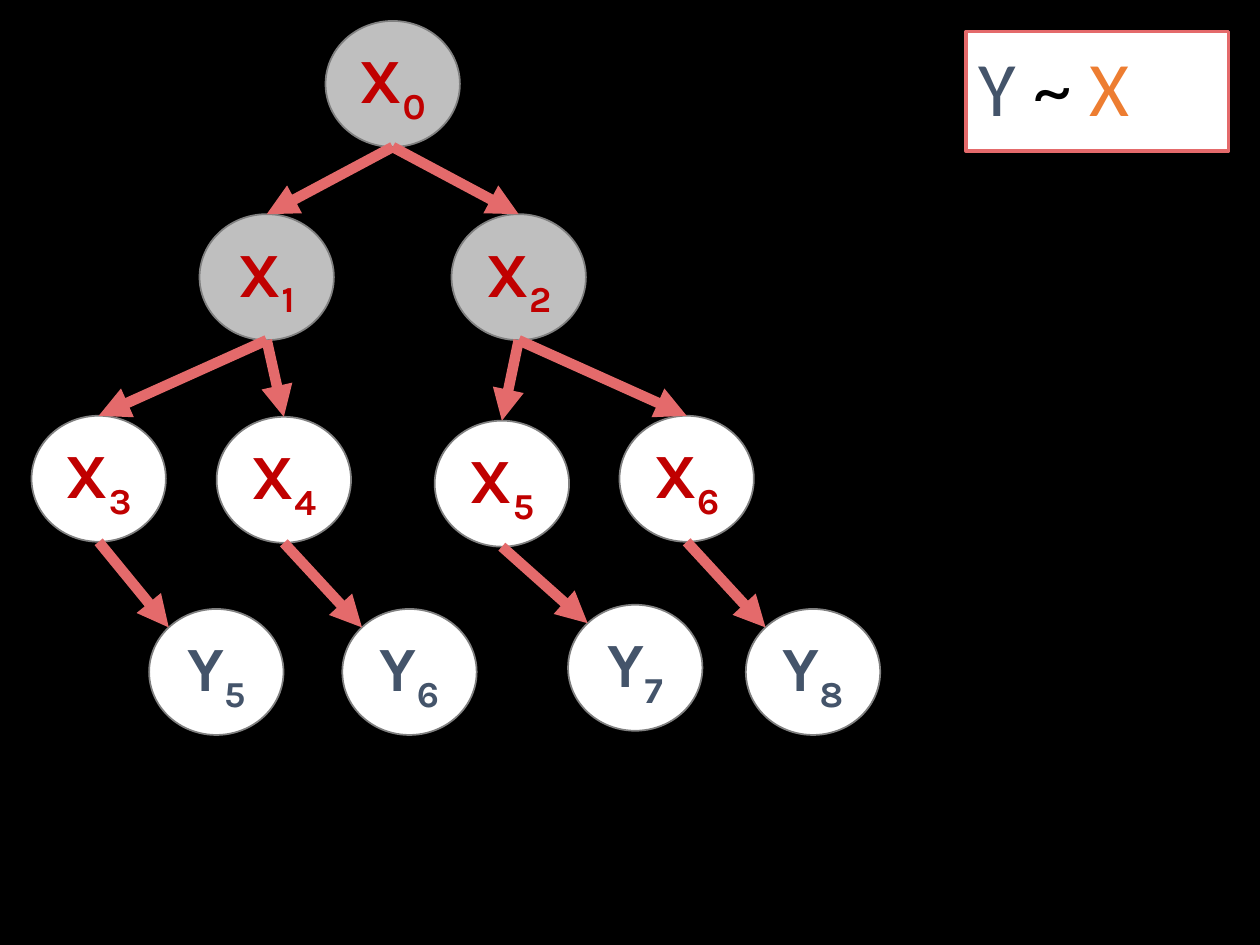
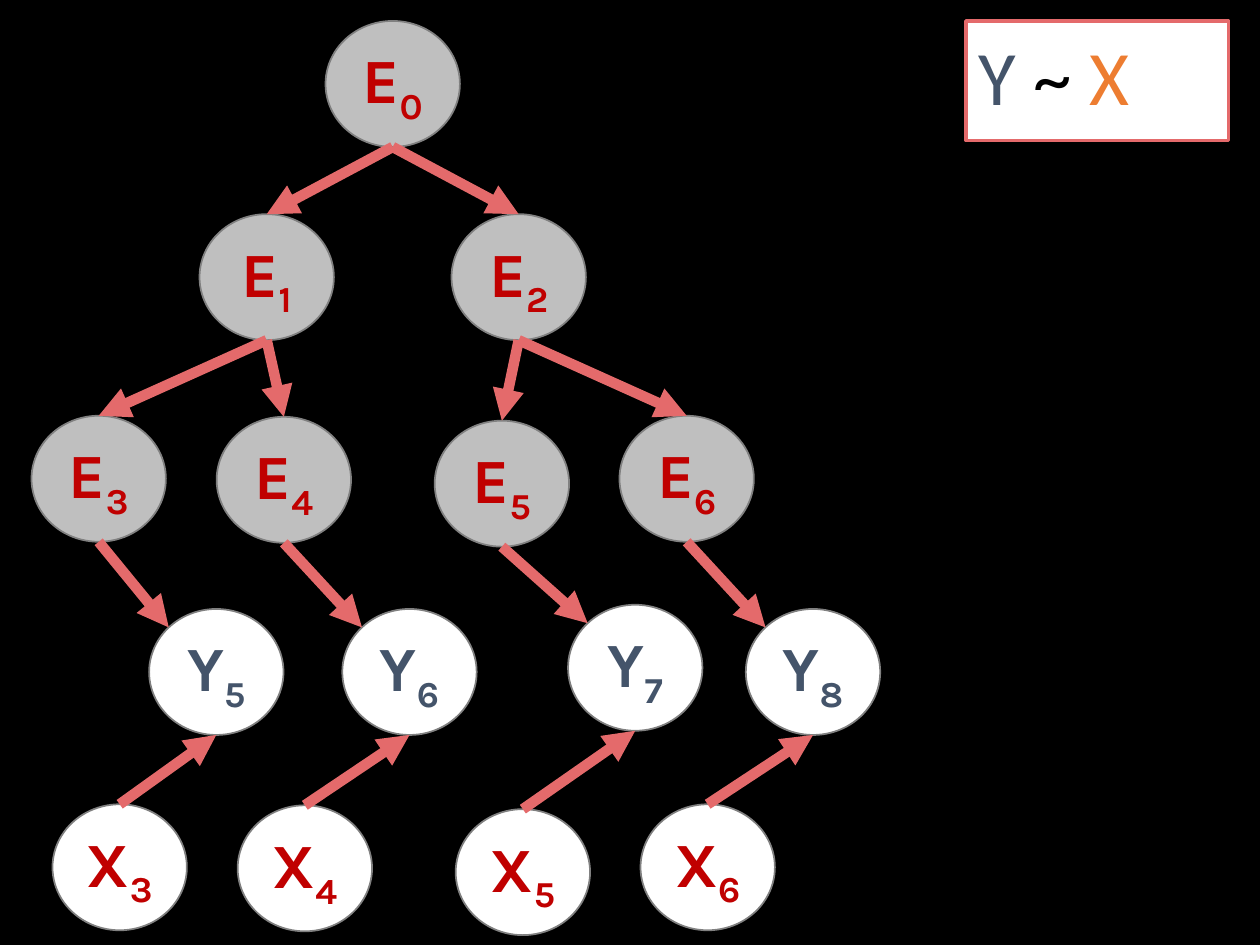
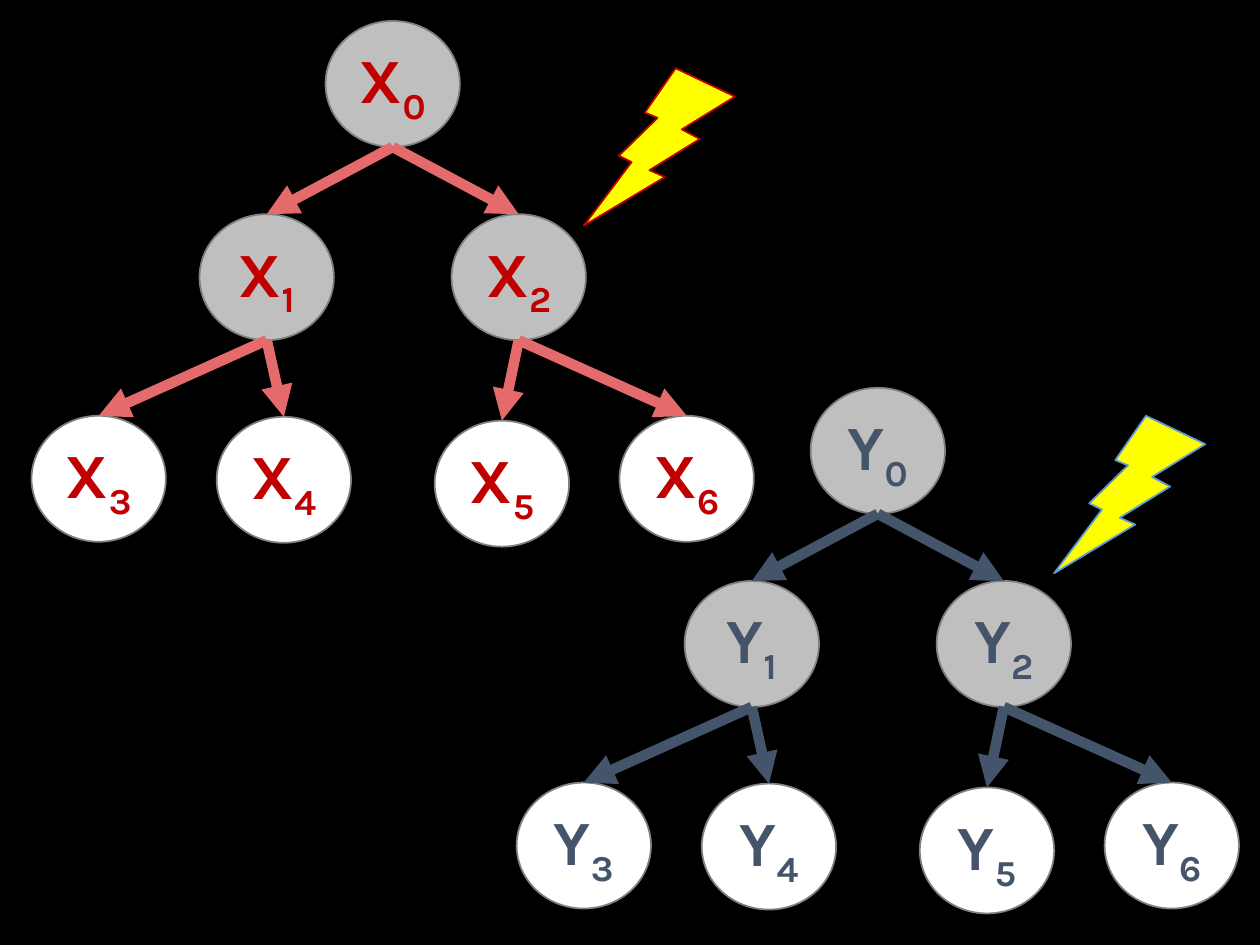
from dataclasses import dataclass
from math import sqrt

from lxml.etree import SubElement
from pptx import Presentation
from pptx.dml.color import RGBColor
from pptx.enum.shapes import MSO_CONNECTOR as CONN, MSO_SHAPE as SHAPE
from pptx.enum.text import MSO_ANCHOR as ANCHOR, MSO_AUTO_SIZE as AUTO, PP_ALIGN as ALIGN
from pptx.oxml.ns import qn
from pptx.util import Pt

BLACK, WHITE, GREY, OUTLINE = "000000", "FFFFFF", "BFBFBF", "808080"
RED, CORAL, SLATE, ORANGE = "C00000", "E46A6B", "44546A", "ED7D31"
YELLOW, BLUE = "FFFF00", "5B9BD5"
NODE_W, NODE_H = 76.8, 72
TOP, TOP_LEFT, BOTTOM = 0, 1, 4
DIAGONAL = (1 - sqrt(0.5)) / 2
SITES = {TOP: (0.5, 0), TOP_LEFT: (DIAGONAL, DIAGONAL), BOTTOM: (0.5, 1)}


@dataclass(frozen=True)
class Node:
    """A labelled circle: subscript and top-left corner."""
    sub: int
    x: float
    y: float


INNER = [Node(0, 186, 12), Node(1, 114, 122.4), Node(2, 258, 122.4)]
LEAVES = [Node(3, 18, 237.6), Node(4, 123.8, 238.2),
          Node(5, 248.4, 240.4), Node(6, 354, 237.6)]
OUTCOMES = [Node(5, 85.2, 348), Node(6, 195.6, 348),
            Node(7, 324.6, 345.6), Node(8, 426.2, 348)]
EDGES = [(0, 1), (0, 2), (1, 3), (1, 4), (2, 5), (2, 6)]


def rgb(color: str) -> RGBColor:
    """Turn a hex string into a colour."""
    return RGBColor.from_string(color)


def paint(sp, fill: str, line: str, width: float = 1) -> None:
    """Give a shape a plain fill and outline."""
    sp.fill.solid()
    sp.fill.fore_color.rgb = rgb(fill)
    sp.line.color.rgb = rgb(line)
    sp.line.width = Pt(width)


def add_run(p, text: str, *, size: float, font: str, color: str,
            bold: bool = False, subscript: bool = False) -> None:
    """Append a formatted run to a paragraph."""
    r = p.add_run()
    r.text = text
    r.font.size, r.font.name, r.font.bold = Pt(size), font, bold
    r.font.color.rgb = rgb(color)
    if subscript:
        r._r.get_or_add_rPr().set("baseline", "-25000")


def add_shape(shapes, kind, x: float, y: float, w: float, h: float, fill: str, line: str):
    """Add a flat preset shape."""
    sp = shapes.add_shape(kind, Pt(x), Pt(y), Pt(w), Pt(h))
    sp.shadow.inherit = False
    paint(sp, fill, line)
    return sp


def add_node(shapes, node: Node, letter: str, color: str, fill: str,
             dx: float = 0, dy: float = 0):
    """Draw one circle with its subscripted letter."""
    sp = add_shape(shapes, SHAPE.OVAL, node.x + dx, node.y + dy, NODE_W, NODE_H, fill, OUTLINE)
    tf = sp.text_frame
    tf.vertical_anchor = ANCHOR.MIDDLE
    p = tf.paragraphs[0]
    p.alignment = ALIGN.CENTER
    style = dict(size=36, font="Karla", color=color, bold=True)
    add_run(p, letter, **style)
    add_run(p, str(node.sub), subscript=True, **style)
    return sp


def site_point(sp, site: int) -> tuple[int, int]:
    """Locate a connection site of a circle."""
    fx, fy = SITES[site]
    return round(sp.left + fx * sp.width), round(sp.top + fy * sp.height)


def add_arrow(shapes, start, end, color: str = CORAL,
              start_site: int = BOTTOM, end_site: int = TOP) -> None:
    """Join two circles with an arrow."""
    c = shapes.add_connector(CONN.STRAIGHT, *site_point(start, start_site),
                             *site_point(end, end_site))
    c.line.color.rgb = rgb(color)
    c.line.width = Pt(6)
    SubElement(c.line._get_or_add_ln(), qn("a:tailEnd"), type="triangle")
    SubElement(c._element.spPr, qn("a:effectLst"))
    joins = c._element.nvCxnSpPr.cNvCxnSpPr
    for tag, sp, site in (("a:stCxn", start, start_site), ("a:endCxn", end, end_site)):
        SubElement(joins, qn(tag), id=str(sp.shape_id), idx=str(site))


def add_tree(shapes, letter: str, color: str = RED, arrow: str = CORAL,
             leaf_fill: str = WHITE, dx: float = 0, dy: float = 0) -> list:
    """Draw the seven-node tree and return its leaves."""
    nodes = [add_node(shapes, n, letter, color, fill, dx, dy)
             for group, fill in ((INNER, GREY), (LEAVES, leaf_fill)) for n in group]
    for parent, child in EDGES:
        add_arrow(shapes, nodes[parent], nodes[child], arrow)
    return nodes[len(INNER):]


def add_outcomes(shapes, leaves: list) -> list:
    """Draw the Y row below the leaves and link it to them."""
    outcomes = [add_node(shapes, n, "Y", SLATE, WHITE) for n in OUTCOMES]
    for leaf, outcome in zip(leaves, outcomes):
        add_arrow(shapes, leaf, outcome, end_site=TOP_LEFT)
    return outcomes


def add_bolt(shapes, x: float, y: float, line: str) -> None:
    """Draw a mirrored lightning bolt."""
    sp = add_shape(shapes, SHAPE.LIGHTNING_BOLT, x, y, 86.4, 90, YELLOW, line)
    sp._element.spPr.find(qn("a:xfrm")).set("flipH", "1")


def add_titled_slide(prs, top: float):
    """Add a slide with the formula as its title."""
    s = prs.slides.add_slide(prs.slide_layouts[5])
    sp = s.shapes.title
    sp.left, sp.top, sp.width, sp.height = Pt(552), Pt(top), Pt(150), Pt(68.4)
    paint(sp, WHITE, CORAL, 2)
    tf = sp.text_frame
    tf.word_wrap, tf.auto_size, tf.vertical_anchor = True, AUTO.NONE, ANCHOR.MIDDLE
    p = tf.paragraphs[0]
    p.alignment, p.line_spacing = ALIGN.LEFT, 0.9
    for text, color in (("Y", SLATE), (" ~ ", BLACK), ("X", ORANGE)):
        add_run(p, text, size=44, font="Calibri", color=color)
    return s


def trait_slide(prs) -> None:
    """X evolves on the tree and drives Y."""
    shapes = add_titled_slide(prs, 18).shapes
    add_outcomes(shapes, add_tree(shapes, "X"))


def error_slide(prs) -> None:
    """Errors evolve on the tree while X drives Y from below."""
    shapes = add_titled_slide(prs, 12).shapes
    group = shapes.add_group_shape().shapes
    outcomes = add_outcomes(group, add_tree(group, "E", leaf_fill=GREY))
    predictors = [add_node(shapes, n, "X", RED, WHITE, 12, 222) for n in LEAVES]
    for predictor, outcome in zip(predictors, outcomes):
        add_arrow(shapes, predictor, outcome, start_site=TOP, end_site=BOTTOM)


def shock_slide(prs) -> None:
    """Two separate trees, each struck by a bolt."""
    shapes = prs.slides.add_slide(prs.slide_layouts[6]).shapes
    add_tree(shapes, "X")
    add_tree(shapes, "Y", SLATE, SLATE, dx=277.2, dy=209.6)
    add_bolt(shapes, 333.6, 39, RED)
    add_bolt(shapes, 602.4, 237.6, BLUE)


def main() -> None:
    """Build the deck."""
    prs = Presentation()
    prs.slide_width, prs.slide_height = Pt(720), Pt(540)
    background = prs.slide_master.background.fill
    background.solid()
    background.fore_color.rgb = rgb(BLACK)
    trait_slide(prs)
    error_slide(prs)
    shock_slide(prs)
    prs.save("out.pptx")


if __name__ == "__main__":
    main()
